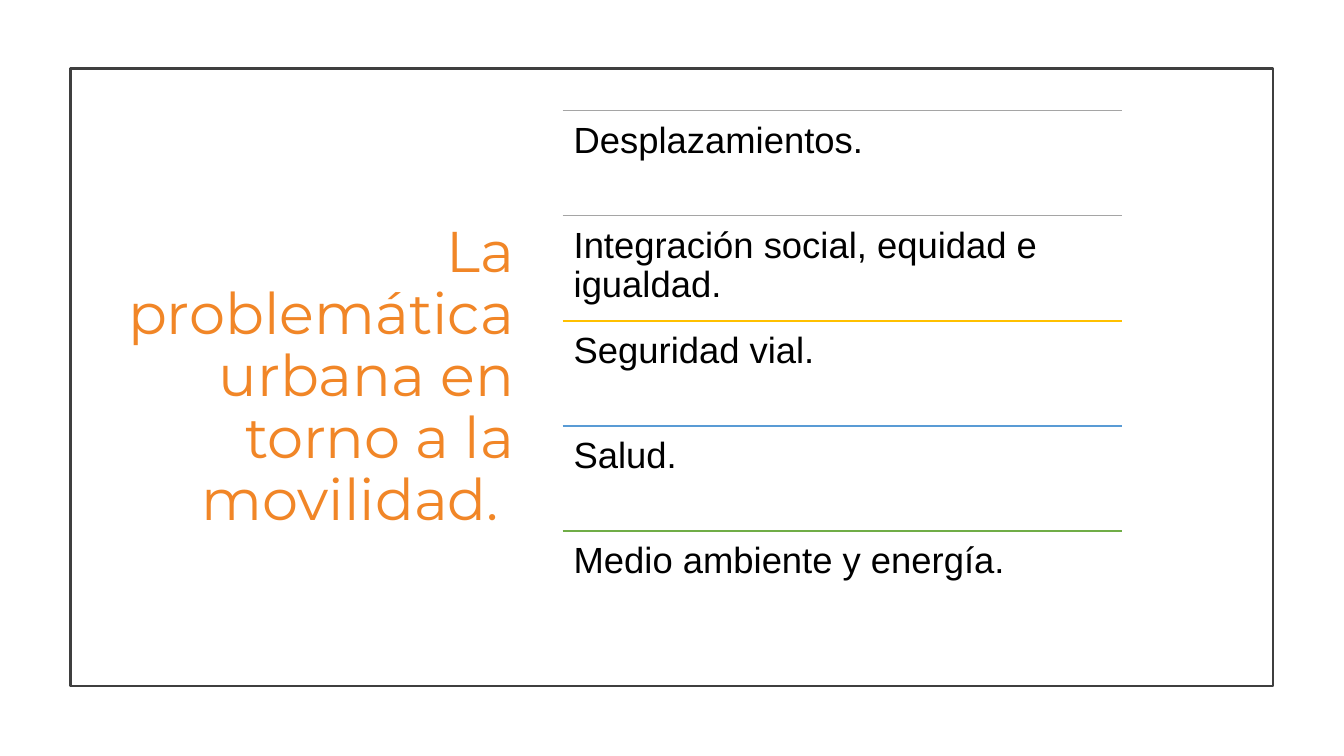
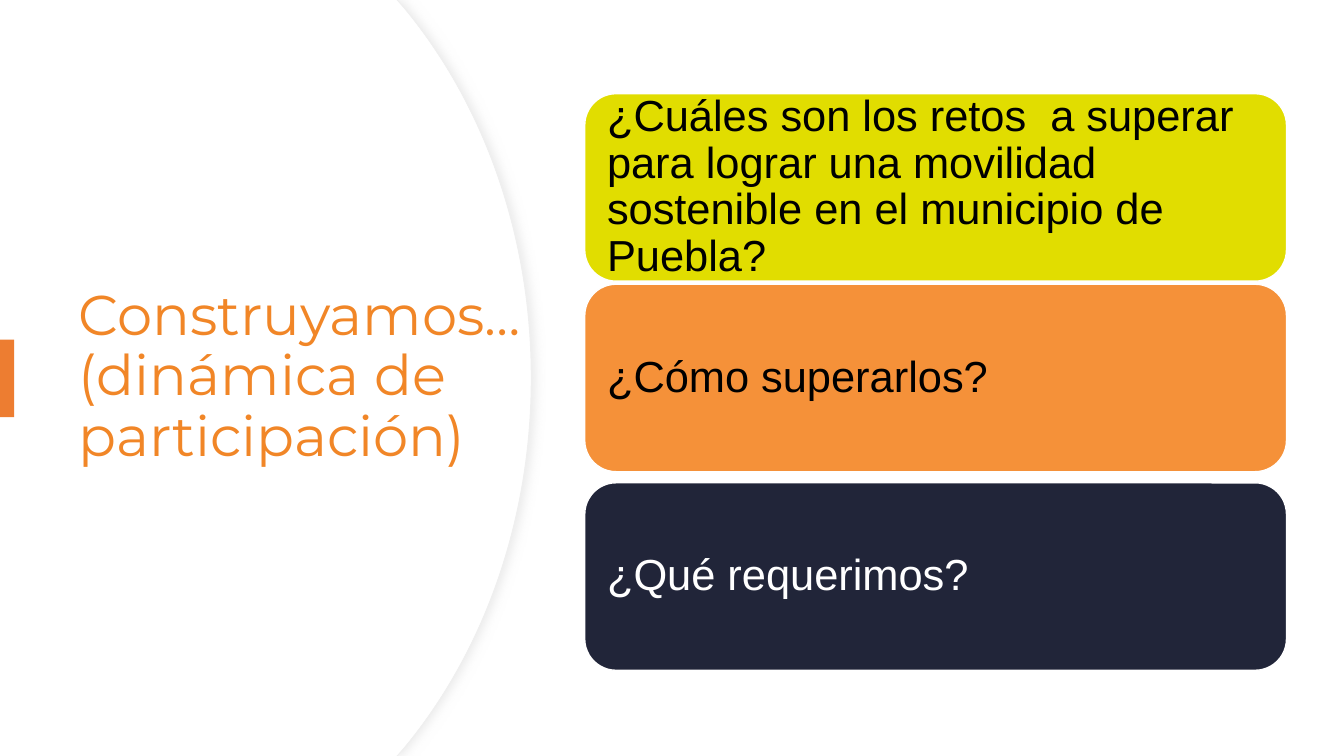
import dataclasses

import lxml.etree
import pptx
import pptx.dml.color
import pptx.enum.shapes
import pptx.enum.text
import pptx.oxml.ns
import pptx.util

Inches = pptx.util.Inches
Pt = pptx.util.Pt
MSO_SHAPE = pptx.enum.shapes.MSO_SHAPE
ANCHOR = pptx.enum.text.MSO_ANCHOR
ALIGN = pptx.enum.text.PP_ALIGN
qn = pptx.oxml.ns.qn


@dataclasses.dataclass(frozen=True)
class Theme:
    title_font: str = "Montserrat"
    body_font: str = "Arial"
    title_color: str = "F18627"
    text: str = "000000"
    white: str = "FFFFFF"
    frame: str = "3F3F3F"
    accent: str = "ED7D31"
    panel_edge: str = "EFEFEF"
    panel_shadow: str = "D8D8D8"
    rules: tuple = (("A5A5A5", 0.75), ("A5A5A5", 0.75),
                    ("FFC000", 1), ("599BD5", 1), ("70AD47", 1))
    cards: tuple = (("E1DD00", "000000"), ("F59139", "000000"), ("212539", "FFFFFF"))
    topics_title_size: float = 41
    questions_title_size: float = 40
    topic_size: float = 26
    card_size: float = 31


THEME = Theme()


@dataclasses.dataclass(frozen=True)
class Box:
    """Rectangle in inches."""
    left: float
    top: float
    width: float
    height: float

    def lengths(self):
        return [Inches(value) for value in (self.left, self.top, self.width, self.height)]


def rgb(value):
    return pptx.dml.color.RGBColor.from_string(value)


def paint(shape, fill=None, line=None, width=1):
    shape.shadow.inherit = False
    if fill:
        shape.fill.solid()
        shape.fill.fore_color.rgb = rgb(fill)
    else:
        shape.fill.background()
    if line:
        shape.line.color.rgb = rgb(line)
        shape.line.width = Pt(width)
    else:
        shape.line.fill.background()


def write(shape, text, font, size, color, insets, anchor=ANCHOR.MIDDLE, align=ALIGN.LEFT):
    """Fill a shape with one paragraph; insets are (horizontal, vertical) inches."""
    frame = shape.text_frame
    frame.word_wrap = True
    frame.vertical_anchor = anchor
    frame.margin_left = frame.margin_right = Inches(insets[0])
    frame.margin_top = frame.margin_bottom = Inches(insets[1])
    frame.text = text
    paragraph = frame.paragraphs[0]
    paragraph.alignment = align
    paragraph.line_spacing = 0.9
    run_font = paragraph.runs[0].font
    run_font.name = font
    run_font.size = Pt(size)
    run_font.color.rgb = rgb(color)


def add_title(slide, box, text, size, align=ALIGN.LEFT):
    title = slide.shapes.add_textbox(*box.lengths())
    write(title, text, THEME.title_font, size, THEME.title_color, (0.1, 0.05), align=align)


def add_block(slide, box, fill=None, line=None, width=1, preset=MSO_SHAPE.RECTANGLE):
    shape = slide.shapes.add_shape(preset, *box.lengths())
    paint(shape, fill, line, width)
    return shape


def add_rule(slide, left, top, length, color, width):
    rule = slide.shapes.add_connector(
        pptx.enum.shapes.MSO_CONNECTOR.STRAIGHT,
        Inches(left), Inches(top), Inches(left + length), Inches(top))
    rule.line.color.rgb = rgb(color)
    rule.line.width = Pt(width)
    lxml.etree.SubElement(rule._element.spPr, qn("a:effectLst"))


def add_topic_list(slide, box, topics):
    """Equal rows, each with a coloured rule on top."""
    row_height = box.height / len(topics)
    for index, (topic, (color, width)) in enumerate(zip(topics, THEME.rules)):
        row = Box(box.left, box.top + index * row_height, box.width, row_height)
        add_rule(slide, row.left, row.top, row.width, color, width)
        label = slide.shapes.add_textbox(*row.lengths())
        write(label, topic, THEME.body_font, THEME.topic_size, THEME.text,
              (0.11, 0.11), ANCHOR.TOP)


def add_question_cards(slide, box, card_height, offsets, questions):
    for question, (fill, color), offset in zip(questions, THEME.cards, offsets):
        card = add_block(slide, Box(box.left, box.top + offset, box.width, card_height),
                         fill, THEME.white, preset=MSO_SHAPE.ROUNDED_RECTANGLE)
        card.adjustments[0] = 0.167
        write(card, question, THEME.body_font, THEME.card_size, color, (0.13, 0.13))


def bend(segment, controls):
    """Turn a straight freeform segment into a Bézier curve with two control points."""
    segment.tag = qn("a:cubicBezTo")
    for index, (x, y) in enumerate(controls):
        point = lxml.etree.Element(qn("a:pt"), x=str(Inches(x)), y=str(Inches(y)))
        segment.insert(index, point)


def add_curved_panel(slide, box, line=None):
    """Panel whose right side bulges outwards, symmetric about its middle."""
    width, height = box.width, box.height
    outline = [(width - 1.33, 0), (width - 1.26, 0.08), (width, height / 2),
               (width - 1.26, height - 0.08), (width - 1.33, height), (0, height)]
    builder = slide.shapes.build_freeform(Inches(box.left), Inches(box.top))
    builder.add_line_segments(
        [(Inches(box.left + x), Inches(box.top + y)) for x, y in outline], close=True)
    panel = builder.convert_to_shape()
    segments = list(panel._element.iter(qn("a:lnTo")))
    upper = [(width - 0.48, 1.02), (width, 2.32)]
    bend(segments[2], upper)
    bend(segments[3], [(x, height - y) for x, y in reversed(upper)])
    paint(panel, THEME.white, line, 0.75)
    return panel


def add_soft_shadow(shape, color, opacity, blur, distance):
    effects = shape._element.spPr.find(qn("a:effectLst"))
    shadow = lxml.etree.SubElement(
        effects, qn("a:outerShdw"), blurRad=str(Pt(blur)), dist=str(Pt(distance)),
        dir="0", algn="l", rotWithShape="0")
    tint = lxml.etree.SubElement(shadow, qn("a:srgbClr"), val=color)
    lxml.etree.SubElement(tint, qn("a:alpha"), val=str(opacity * 1000))


def build_topics_slide(slide):
    add_title(slide, Box(1.1, 1.3, 4.1, 4.9),
              "La problemática urbana en torno a la movilidad. ",
              THEME.topics_title_size, ALIGN.RIGHT)
    add_block(slide, Box(0.7, 0.68, 11.93, 6.13), line=THEME.frame, width=1.5)
    add_topic_list(slide, Box(5.58, 1.1, 5.55, 5.21), (
        "Desplazamientos.",
        "Integración social, equidad e igualdad.",
        "Seguridad vial.",
        "Salud.",
        "Medio ambiente y energía.",
    ))


def build_questions_slide(slide):
    outer_panel = add_curved_panel(slide, Box(0, 0, 5.27, 7.5), THEME.panel_edge)
    add_soft_shadow(outer_panel, THEME.panel_shadow, opacity=50, blur=7, distance=3)
    add_curved_panel(slide, Box(0, 0, 5.26, 7.5))
    add_title(slide, Box(0.68, 1.27, 4.59, 4.95),
              "Construyamos… (dinámica de participación)", THEME.questions_title_size)
    add_block(slide, Box(0, 3.37, 0.14, 0.77), THEME.accent)
    add_question_cards(slide, Box(5.8, 0.93, 6.96, 5.71), 1.86, (0, 1.89, 3.86), (
        "¿Cuáles son los retos  a superar para lograr una movilidad "
        "sostenible en el municipio de Puebla?",
        "¿Cómo superarlos?",
        "¿Qué requerimos?",
    ))


def main():
    presentation = pptx.Presentation()
    presentation.slide_width = Inches(13.33)
    presentation.slide_height = Inches(7.5)
    blank = presentation.slide_layouts[6]
    for build in (build_topics_slide, build_questions_slide):
        build(presentation.slides.add_slide(blank))
    presentation.save("out.pptx")


if __name__ == "__main__":
    main()
